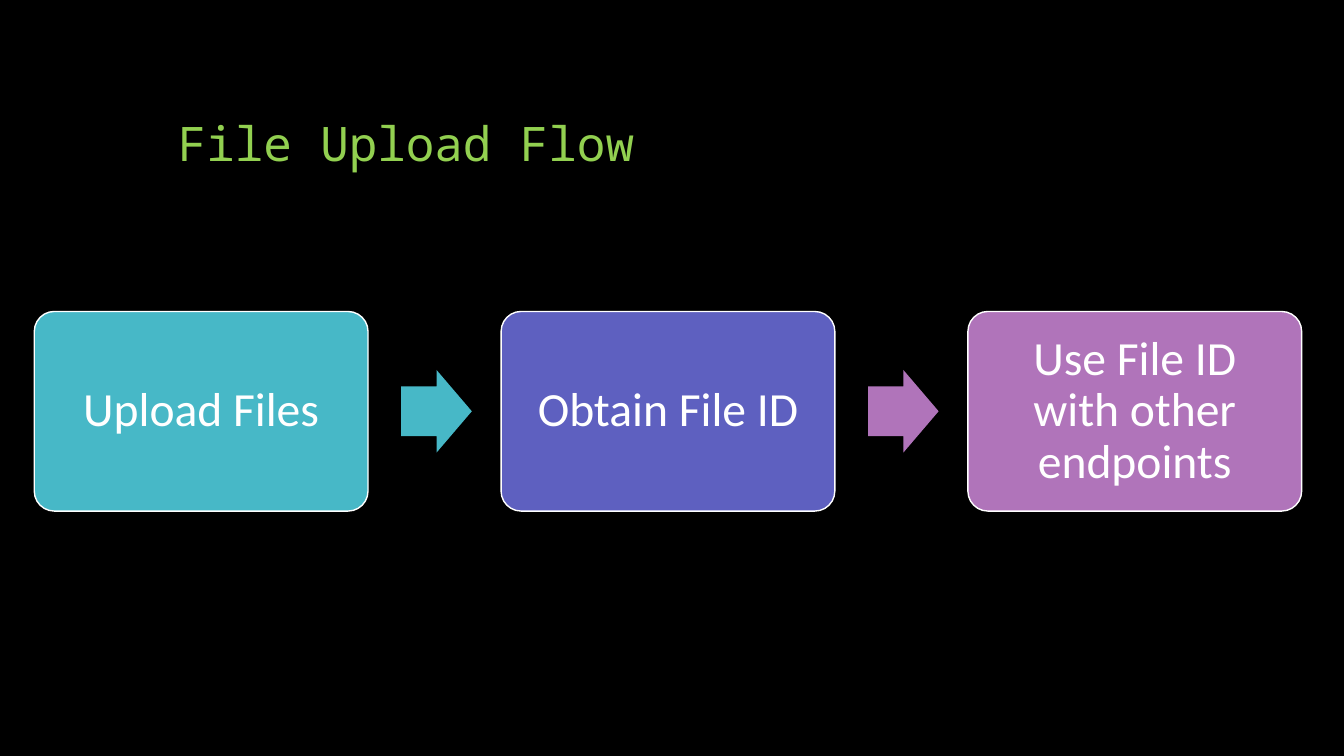
from dataclasses import dataclass

from pptx import Presentation
from pptx.dml.color import RGBColor
from pptx.enum.shapes import MSO_SHAPE
from pptx.enum.text import MSO_ANCHOR, PP_ALIGN
from pptx.util import Inches, Pt

ROUND_BOX, ARROW = MSO_SHAPE.ROUNDED_RECTANGLE, MSO_SHAPE.RIGHT_ARROW
MIDDLE, BOTTOM = MSO_ANCHOR.MIDDLE, MSO_ANCHOR.BOTTOM
LEFT, CENTER = PP_ALIGN.LEFT, PP_ALIGN.CENTER


@dataclass(frozen=True)
class Theme:
    background: str = "000000"
    title: str = "92D050"
    text: str = "FFFFFF"
    teal: str = "47B8C7"
    indigo: str = "5E60C0"
    orchid: str = "B074BA"
    title_font: str = "Noto Sans Mono"
    body_font: str = "Calibri"
    size: int = 34


THEME = Theme()

TITLE = "File Upload Flow"
STEPS = [
    ("Upload Files", THEME.teal),
    ("Obtain File ID", THEME.indigo),
    ("Use File ID with other endpoints", THEME.orchid),
]
ARROW_COLORS = [THEME.teal, THEME.orchid]

# Flow row, in inches
SLIDE_W, SLIDE_H = 13.33, 7.5
FLOW_LEFT, FLOW_MIDDLE = 0.34, 4.08
PITCH = 4.63
BOX_W, BOX_H = 3.31, 1.98
ARROW_W, ARROW_H = 0.7, 0.82
ARROW_GAP = 0.33
BOX_INSET = 0.14


def write(tf, text, font, color, align, anchor):
    tf.word_wrap = True
    tf.vertical_anchor = anchor
    p = tf.paragraphs[0]
    p.alignment = align
    p.line_spacing = 0.9
    r = p.add_run()
    r.text = text
    r.font.name = font
    r.font.size = Pt(THEME.size)
    r.font.color.rgb = RGBColor.from_string(color)


def add_flow_shape(slide, kind, left, width, height, color, adjustments):
    """Add a filled shape centred vertically on the flow row."""
    top = FLOW_MIDDLE - height / 2
    sp = slide.shapes.add_shape(
        kind, Inches(left), Inches(top), Inches(width), Inches(height))
    sp.shadow.inherit = False
    sp.fill.solid()
    sp.fill.fore_color.rgb = RGBColor.from_string(color)
    sp.line.fill.background()
    for i, value in enumerate(adjustments):
        sp.adjustments[i] = value
    return sp


def add_step(slide, left, text, color):
    sp = add_flow_shape(slide, ROUND_BOX, left, BOX_W, BOX_H, color, [0.1])
    sp.line.color.rgb = RGBColor.from_string(THEME.text)
    sp.line.width = Pt(1)
    tf = sp.text_frame
    tf.margin_left = tf.margin_right = Inches(BOX_INSET)
    tf.margin_top = tf.margin_bottom = Inches(BOX_INSET)
    write(tf, text, THEME.body_font, THEME.text, CENTER, MIDDLE)


def main():
    prs = Presentation()
    prs.slide_width, prs.slide_height = Inches(SLIDE_W), Inches(SLIDE_H)
    slide = prs.slides.add_slide(prs.slide_layouts[6])
    slide.background.fill.solid()
    slide.background.fill.fore_color.rgb = RGBColor.from_string(THEME.background)

    title = slide.shapes.add_textbox(
        Inches(SLIDE_W / 8), Inches(SLIDE_H / 15),
        Inches(SLIDE_W * 3 / 4), Inches(SLIDE_H / 6))
    write(title.text_frame, TITLE, THEME.title_font, THEME.title, LEFT, BOTTOM)

    for i, (text, color) in enumerate(STEPS):
        add_step(slide, FLOW_LEFT + i * PITCH, text, color)
    for i, color in enumerate(ARROW_COLORS):
        left = FLOW_LEFT + i * PITCH + BOX_W + ARROW_GAP
        add_flow_shape(slide, ARROW, left, ARROW_W, ARROW_H, color, [0.6, 0.5])

    prs.save("out.pptx")


if __name__ == "__main__":
    main()
